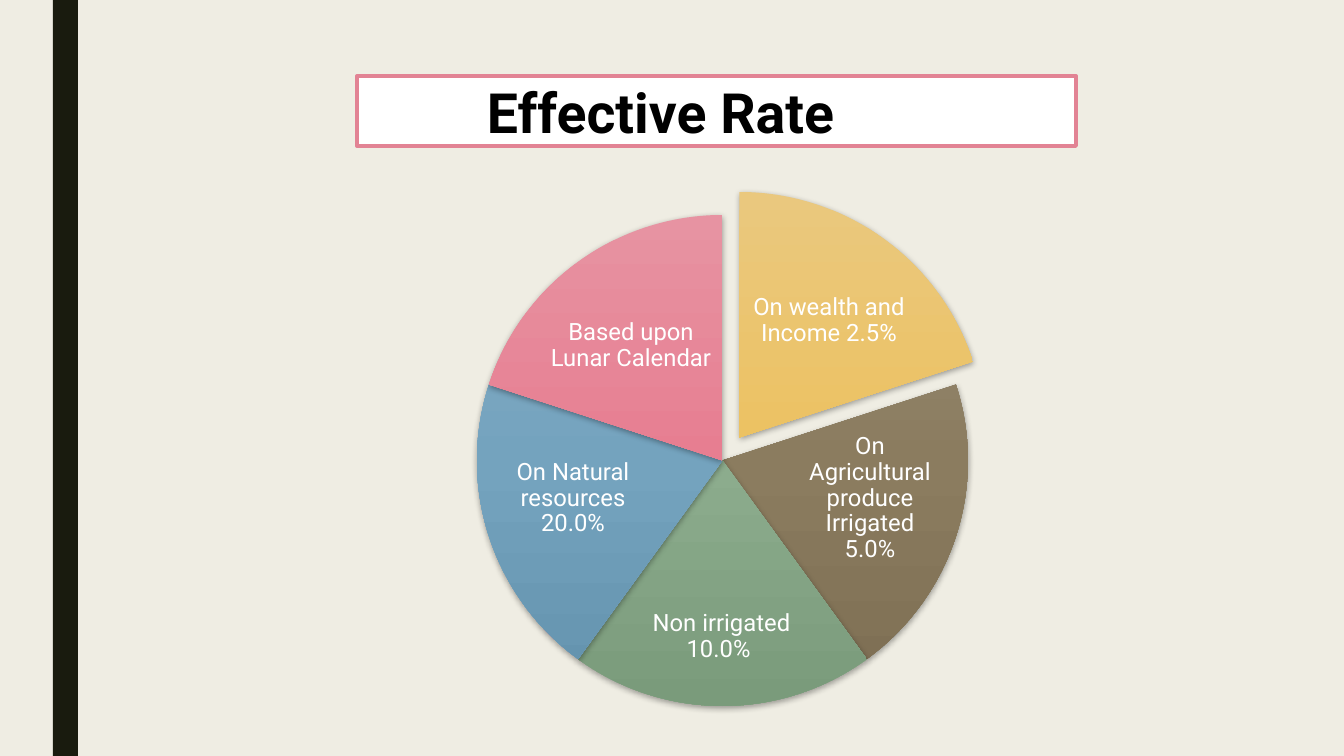
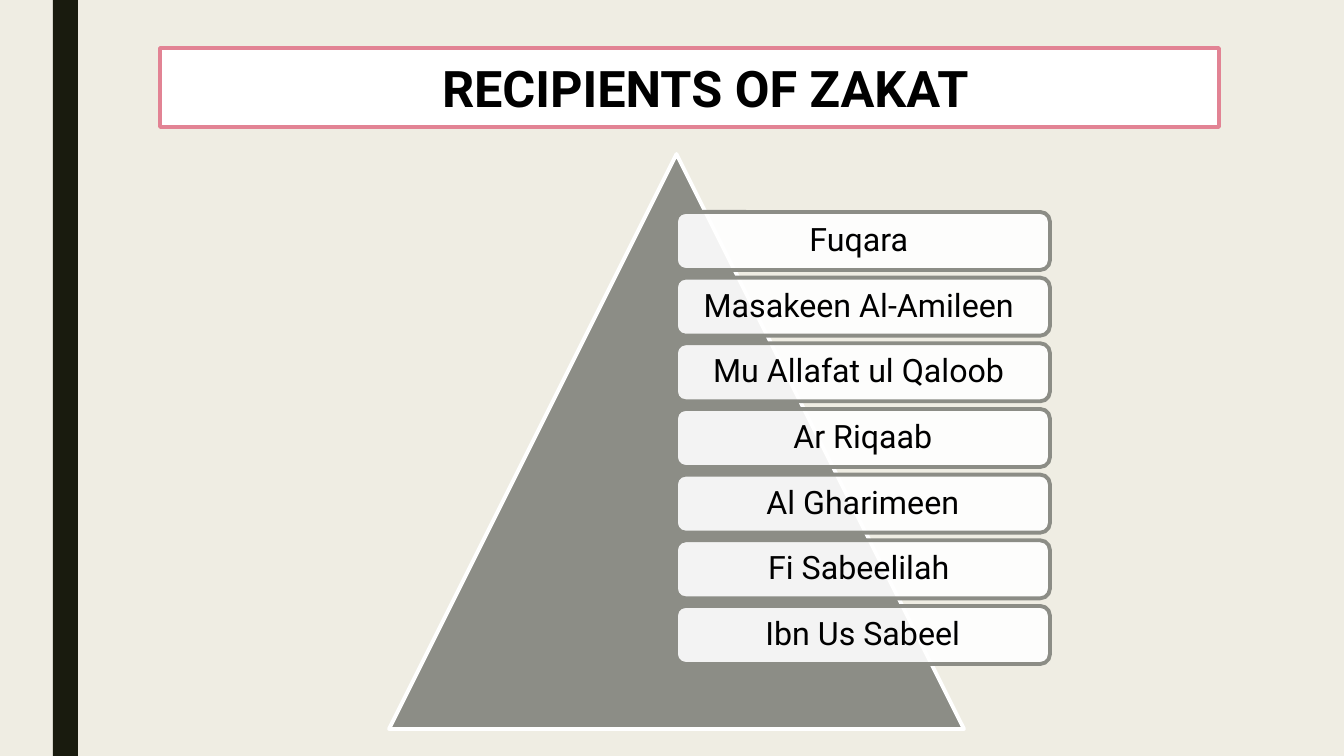
import copy

import pptx
import pptx.dml.color
import pptx.enum.shapes
import pptx.enum.text
import pptx.oxml
import pptx.oxml.ns
import pptx.util

PX = 12192000 / 1344
FONT = "Roboto"
COLORS = {
    "paper": "EFEDE3", "bar": "191B0E", "white": "FFFFFF", "black": "000000",
    "rose": "E28394", "gray": "8C8D86",
}
SHAPES = pptx.enum.shapes.MSO_SHAPE
ALIGN = pptx.enum.text.PP_ALIGN
RGB = pptx.dml.color.RGBColor.from_string
NS = pptx.oxml.ns.nsdecls("a")


def add_box(page, kind, place, fill=None, line=None):
    box = page.shapes.add_shape(kind, *[round(n * PX) for n in place])
    box.shadow.inherit = False
    if fill:
        box.fill.solid()
        box.fill.fore_color.rgb = RGB(COLORS[fill])
    else:
        box.fill.background()
    if line:
        box.line.color.rgb = RGB(COLORS[line])
        box.line.width = pptx.util.Pt(2.75)
    else:
        box.line.fill.background()
    return box


def write(box, text, size, color, align, spacing, insets, bold=False):
    frame = box.text_frame
    frame.word_wrap = True
    frame.vertical_anchor = pptx.enum.text.MSO_ANCHOR.MIDDLE
    frame.margin_left, frame.margin_top, frame.margin_right, frame.margin_bottom = [
        round(n * PX) for n in insets]
    para = frame.paragraphs[0]
    para.alignment = align
    para.line_spacing = spacing
    span = para.add_run()
    span.text = text
    span.font.name = FONT
    span.font.size = pptx.util.Pt(size)
    span.font.bold = bold
    span.font.color.rgb = RGB(COLORS[color])


deck = pptx.Presentation()
deck.slide_width = round(1344 * PX)
deck.slide_height = round(756 * PX)
backdrop = deck.slide_master.background.fill
backdrop.solid()
backdrop.fore_color.rgb = RGB(COLORS["paper"])

# Side bar and framed title on every page: title, size, frame, text indent
titles = [
    ("Effective Rate", 39.6, (357, 76, 719, 70), 130),
    ("RECIPIENTS OF ZAKAT", 36, (160, 48, 1059, 79), 282),
]
pages = []
for title, size, place, indent in titles:
    page = deck.slides.add_slide(deck.slide_layouts[6])
    add_box(page, SHAPES.RECTANGLE, (53, 0, 25, 756), "bar")
    frame_box = add_box(page, SHAPES.RECTANGLE, place, "white", "rose")
    write(frame_box, title, size, "black", ALIGN.LEFT, 1.0, (indent, 5, 10, 5), True)
    pages.append(page)
rate_page, recipients_page = pages

# Pie of five equal slices, the first pulled out: label, label place, gradient
slices = [
    ("On wealth and Income 2.5%", (746, 264, 166, 114), ("EAC87E", "ECC263", "D9B051")),
    ("On Agricultural produce Irrigated 5.0%", (797, 437, 146, 123),
     ("978B76", "8B7C5F", "7D6E53")),
    ("Non irrigated 10.0% ", (634, 584, 175, 105), ("9BB59B", "8CAC8D", "7A9B7B")),
    ("On Natural resources 20.0%", (500, 437, 146, 123), ("88ADC3", "74A3BE", "6392AD")),
    ("Based upon Lunar Calendar", (548, 289, 166, 114), ("E793A2", "E77E91", "D36B7D")),
]
PIE_SIZE = 491
FULL_TURN = 216  # a pie adjustment counts 0.6 per degree
sweep = FULL_TURN / len(slices)
for index, (label, label_place, shades) in enumerate(slices):
    left, top = (494, 192) if index == 0 else (477, 215)
    wedge = add_box(rate_page, SHAPES.PIE, (left, top, PIE_SIZE, PIE_SIZE))
    start = FULL_TURN * 0.75 + index * sweep
    wedge.adjustments[0] = start % FULL_TURN
    wedge.adjustments[1] = (start + sweep) % FULL_TURN

    # Three-stop gradient running downwards
    wedge.fill.gradient()
    wedge.fill.gradient_angle = 270
    properties = wedge._element.spPr
    stop_list = properties.find(".//" + pptx.oxml.ns.qn("a:gsLst"))
    stop_list.append(copy.deepcopy(stop_list[0]))
    for stop, shade, position in zip(wedge.fill.gradient_stops, shades, (0, 0.5, 1)):
        stop.color.rgb = RGB(shade)
        stop.position = position

    # Soft shadow below the slice
    properties.find(pptx.oxml.ns.qn("a:effectLst")).append(pptx.oxml.parse_xml(
        f'<a:outerShdw {NS} blurRad="57150" dist="19050" dir="5400000" algn="ctr"'
        ' rotWithShape="0"><a:srgbClr val="000000"><a:alpha val="35000"/></a:srgbClr>'
        '</a:outerShdw>'))

    label_box = rate_page.shapes.add_textbox(*[round(n * PX) for n in label_place])
    write(label_box, label, 17, "white", ALIGN.CENTER, 0.9, (2, 2, 2, 2))

# Triangle with the list of recipients
add_box(recipients_page, SHAPES.ISOSCELES_TRIANGLE, (389, 154, 575, 575), "gray", "white")
recipients = [
    "Fuqara ", "Masakeen Al-Amileen ", "Mu Allafat ul Qaloob ", "Ar Riqaab",
    "Al Gharimeen", "Fi Sabeelilah ", "Ibn Us Sabeel",
]
FIRST_TOP, LAST_TOP = 212, 606
step = (LAST_TOP - FIRST_TOP) / (len(recipients) - 1)
for index, recipient in enumerate(recipients):
    row = add_box(recipients_page, SHAPES.ROUNDED_RECTANGLE,
                  (676, FIRST_TOP + index * step, 374, 58), "white", "gray")
    tint = row._element.spPr.find(
        pptx.oxml.ns.qn("a:solidFill") + "/" + pptx.oxml.ns.qn("a:srgbClr"))
    tint.append(pptx.oxml.parse_xml(f'<a:alpha {NS} val="90000"/>'))
    write(row, recipient, 23, "black", ALIGN.CENTER, 0.9, (10, 5, 10, 5))

deck.save("out.pptx")
